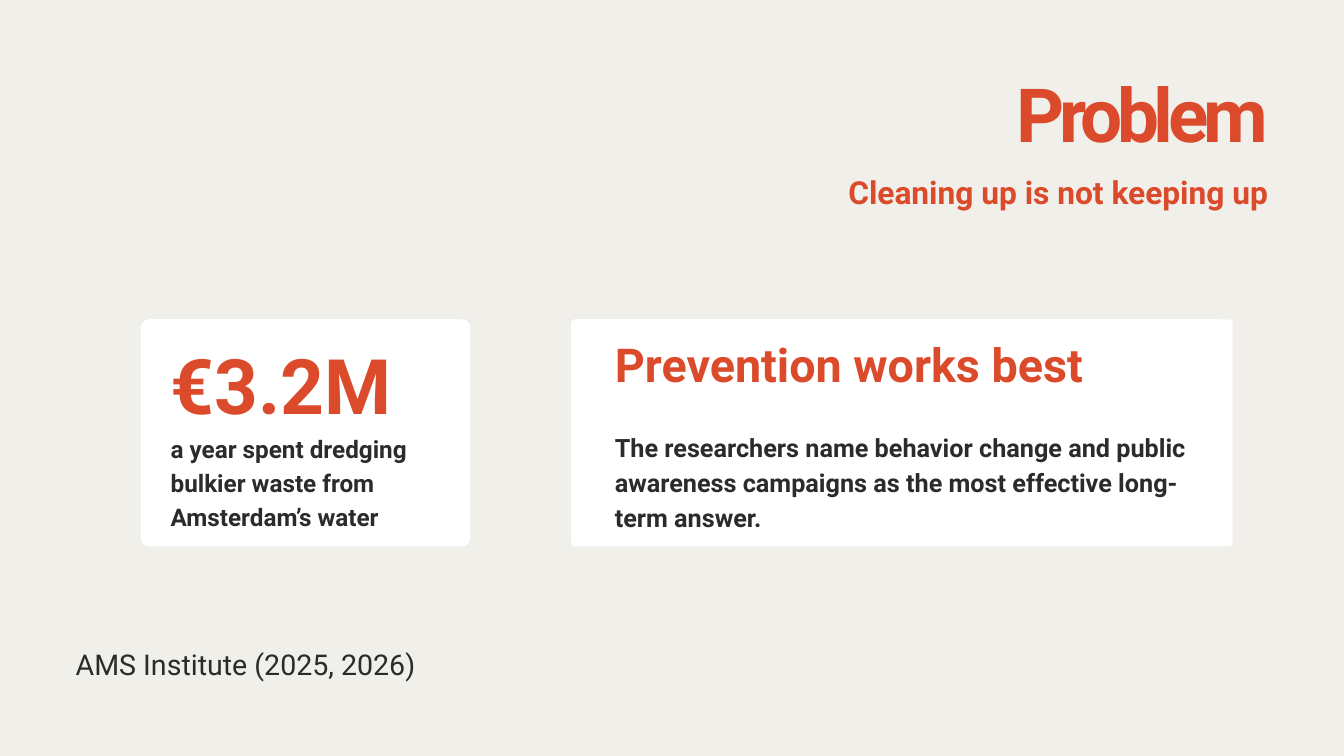
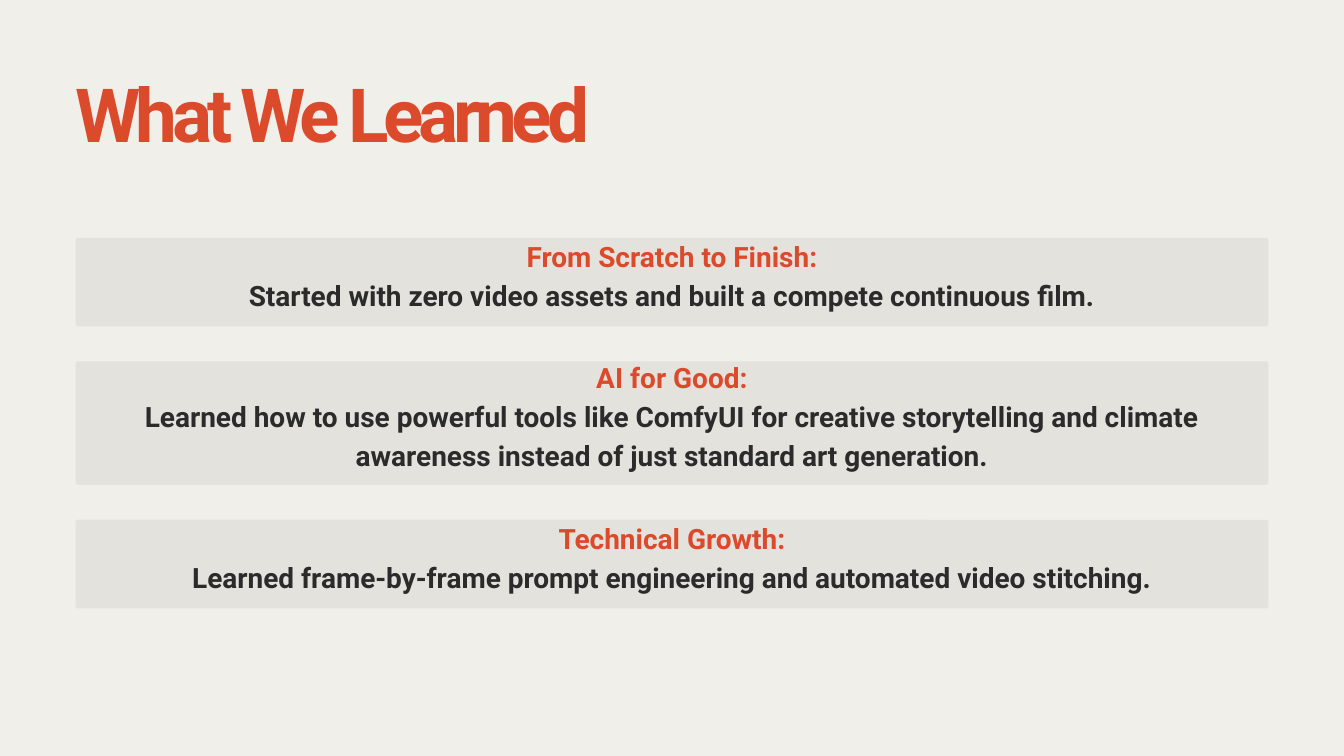
from dataclasses import dataclass

import pptx
import pptx.dml.color
import pptx.enum.shapes
import pptx.enum.text
import pptx.slide
import pptx.text.text
import pptx.util

Cm = pptx.util.Cm
Pt = pptx.util.Pt
Align = pptx.enum.text.PP_ALIGN
Anchor = pptx.enum.text.MSO_ANCHOR

FONT = "Roboto"
PAPER, ACCENT, INK = "F1EFEA", "DB4A2B", "2B2B2B"
CARD_FILL, BAR_FILL = "FFFFFF", "E4E2DD"

# Lengths in centimetres
SLIDE_WIDTH, SLIDE_HEIGHT = 50.8, 28.58
MARGIN = 2.86
CONTENT_WIDTH = SLIDE_WIDTH - 2 * MARGIN
TITLE_TOP, TITLE_WIDTH, TITLE_HEIGHT = 3.71, 23.42, 2.54
BAR_TOP, BAR_GAP, BAR_RADIUS = 8.99, 1.32, 0.09
BAR_TEXT_RISE, BAR_INSET = 0.71, 0.16


@dataclass(frozen=True)
class Box:
    left: float
    top: float
    width: float
    height: float

    def lengths(self) -> list[pptx.util.Length]:
        return [Cm(side) for side in (self.left, self.top, self.width, self.height)]


@dataclass(frozen=True)
class Line:
    """One paragraph; size, leading and space before are in points."""
    text: str
    size: float
    leading: float
    color: str = INK
    bold: bool = True
    before: float = 0
    tracking: float = 0


@dataclass(frozen=True)
class Card:
    panel: Box
    radius: float
    text_area: Box
    lines: list[Line]


@dataclass(frozen=True)
class Lesson:
    heading: str
    detail: str
    height: float


CARDS = [
    Card(Box(5.33, 12.07, 12.45, 8.59), 0.31, Box(6.45, 12.19, 10.21, 7.9), [
        Line("€3.2M", 82, 114.8, ACCENT),
        Line("a year spent dredging bulkier waste from Amsterdam’s water", 26, 36.4),
    ]),
    Card(Box(21.59, 12.07, 25.0, 8.59), 0.15, Box(23.24, 12.34, 21.67, 7.75), [
        Line("Prevention works best", 50, 70, ACCENT),
        Line("The researchers name behavior change and public awareness campaigns "
             "as the most effective long-term answer.", 27, 37.8, before=37.8),
    ]),
]

LESSONS = [
    Lesson("From Scratch to Finish:",
           "Started with zero video assets and built a compete continuous film.", 3.35),
    Lesson("AI for Good:",
           "Learned how to use powerful tools like ComfyUI for creative storytelling and "
           "climate awareness instead of just standard art generation.", 4.67),
    Lesson("Technical Growth:",
           "Learned frame-by-frame prompt engineering and automated video stitching.", 3.35),
]


def rgb(color: str) -> pptx.dml.color.RGBColor:
    return pptx.dml.color.RGBColor.from_string(color)


def write(frame: pptx.text.text.TextFrame, lines: list[Line], align: Align = Align.LEFT,
          anchor: Anchor = Anchor.TOP, inset: float = 0) -> None:
    frame.word_wrap = True
    frame.auto_size = pptx.enum.text.MSO_AUTO_SIZE.NONE
    frame.vertical_anchor = anchor
    frame.margin_left = frame.margin_right = Cm(inset)
    frame.margin_top = frame.margin_bottom = Cm(inset)
    frame.text = "\n".join(line.text for line in lines)
    for paragraph, line in zip(frame.paragraphs, lines):
        paragraph.alignment = align
        paragraph.line_spacing = Pt(line.leading)
        if line.before:
            paragraph.space_before = Pt(line.before)
        for run in paragraph.runs:
            run.font.name = FONT
            run.font.size = Pt(line.size)
            run.font.bold = line.bold
            run.font.color.rgb = rgb(line.color)
            if line.tracking:
                run._r.get_or_add_rPr().set("spc", str(round(line.tracking * 100)))


def add_text(slide: pptx.slide.Slide, area: Box, lines: list[Line],
             align: Align = Align.LEFT, anchor: Anchor = Anchor.TOP,
             inset: float = 0) -> None:
    textbox = slide.shapes.add_textbox(*area.lengths())
    write(textbox.text_frame, lines, align, anchor, inset)


def add_panel(slide: pptx.slide.Slide, area: Box, radius: float, color: str) -> None:
    panel = slide.shapes.add_shape(
        pptx.enum.shapes.MSO_SHAPE.ROUNDED_RECTANGLE, *area.lengths())
    panel.adjustments[0] = radius / min(area.width, area.height)
    panel.shadow.inherit = False
    panel.fill.solid()
    panel.fill.fore_color.rgb = rgb(color)
    panel.line.fill.background()


def add_titled_slide(deck: pptx.presentation.Presentation, text: str,
                     align: Align = Align.LEFT) -> pptx.slide.Slide:
    slide = deck.slides.add_slide(deck.slide_layouts.get_by_name("Title Only"))
    left = SLIDE_WIDTH - MARGIN - TITLE_WIDTH if align == Align.RIGHT else MARGIN
    title = slide.shapes.title
    area = Box(left, TITLE_TOP, TITLE_WIDTH, TITLE_HEIGHT)
    title.left, title.top, title.width, title.height = area.lengths()
    write(title.text_frame, [Line(text, 80, 64, ACCENT, tracking=-5.6)], align)
    return slide


def build_problem(deck: pptx.presentation.Presentation) -> None:
    slide = add_titled_slide(deck, "Problem", Align.RIGHT)
    add_text(slide, Box(13.08, 6.3, 34.86, 1.6),
             [Line("Cleaning up is not keeping up", 34, 47.6, ACCENT)], Align.RIGHT)
    for card in CARDS:
        add_panel(slide, card.panel, card.radius, CARD_FILL)
        add_text(slide, card.text_area, card.lines)
    add_text(slide, Box(MARGIN, 24.23, CONTENT_WIDTH, 1.47),
             [Line("AMS Institute (2025, 2026)", 30.6, 42.8, bold=False)])


def build_lessons(deck: pptx.presentation.Presentation) -> None:
    slide = add_titled_slide(deck, "What We Learned")
    top = BAR_TOP
    for lesson in LESSONS:
        add_panel(slide, Box(MARGIN, top, CONTENT_WIDTH, lesson.height),
                  BAR_RADIUS, BAR_FILL)
        text_area = Box(MARGIN, top - BAR_TEXT_RISE, CONTENT_WIDTH,
                        lesson.height + BAR_TEXT_RISE)
        add_text(slide, text_area,
                 [Line(lesson.heading, 30, 42, ACCENT), Line(lesson.detail, 30, 42)],
                 Align.CENTER, Anchor.MIDDLE, BAR_INSET)
        top += lesson.height + BAR_GAP


def main() -> None:
    deck = pptx.Presentation()
    deck.slide_width, deck.slide_height = Cm(SLIDE_WIDTH), Cm(SLIDE_HEIGHT)
    paper = deck.slide_master.background.fill
    paper.solid()
    paper.fore_color.rgb = rgb(PAPER)
    build_problem(deck)
    build_lessons(deck)
    deck.save("out.pptx")


if __name__ == "__main__":
    main()
